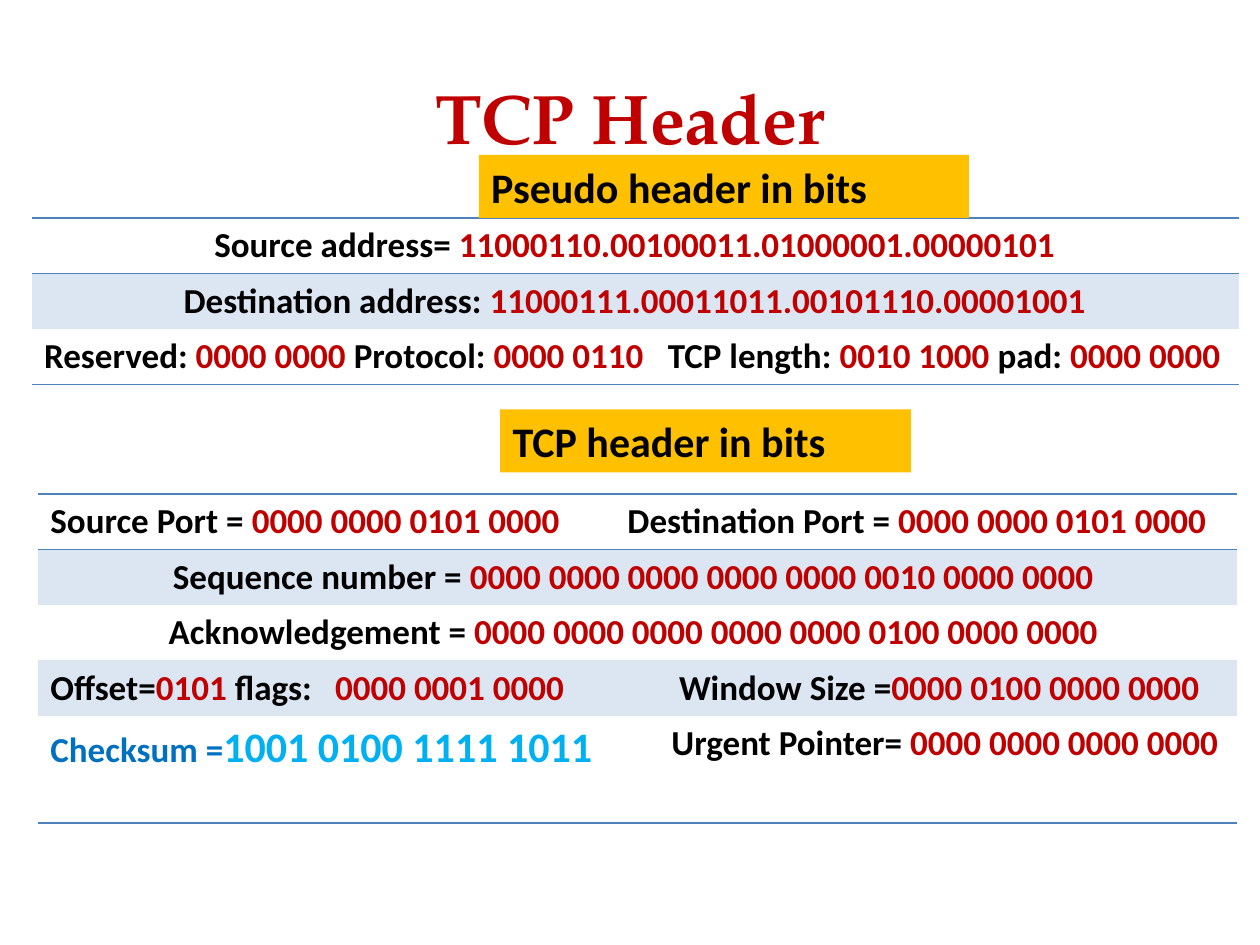
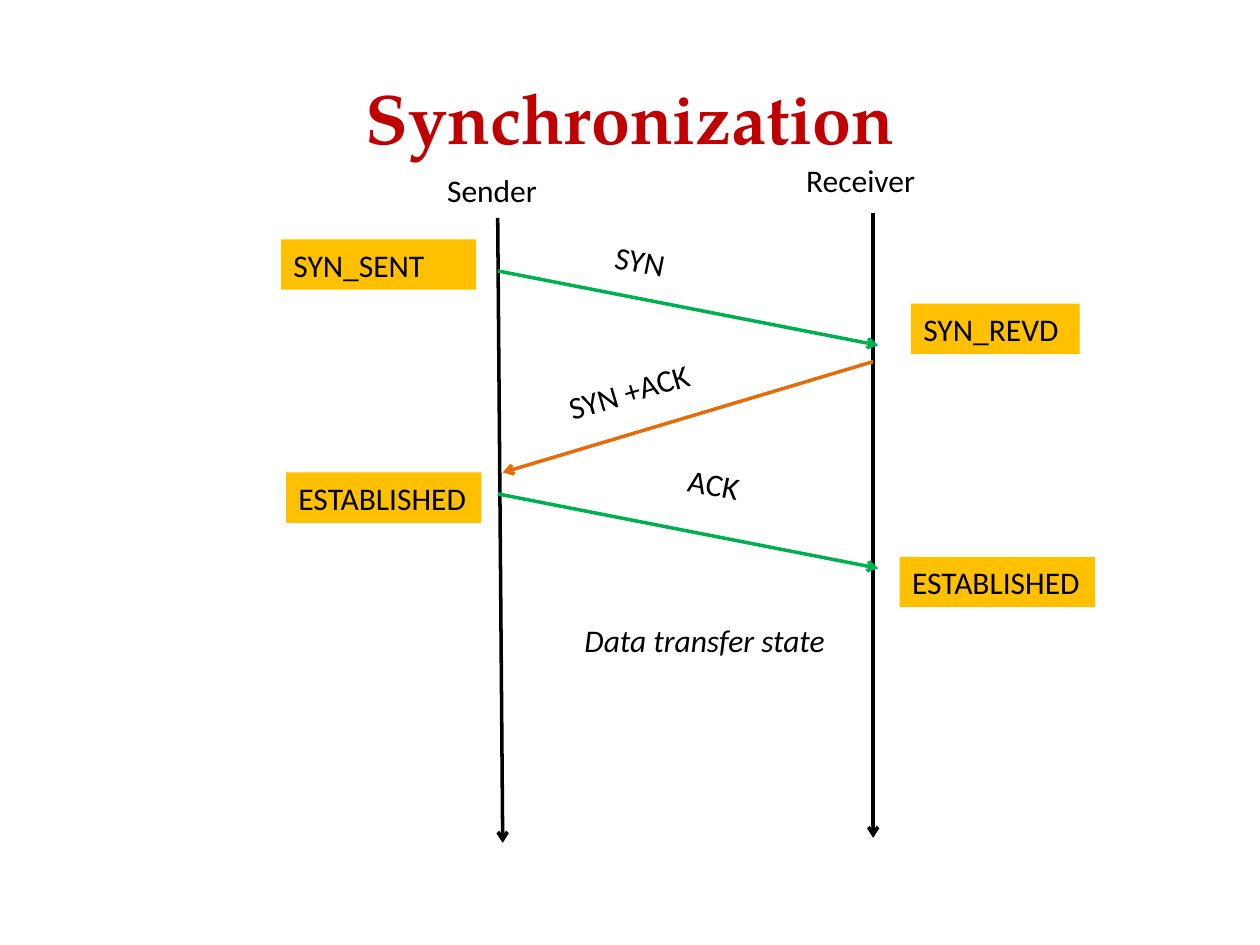
from itertools import cycle
from lxml.etree import SubElement
from pptx import Presentation
from pptx.dml.color import RGBColor
from pptx.enum.shapes import MSO_CONNECTOR as Connector, MSO_SHAPE as Shape
from pptx.enum.text import MSO_ANCHOR as Anchor, MSO_AUTO_SIZE as AutoSize, PP_ALIGN as Align
from pptx.oxml import parse_xml
from pptx.oxml.ns import nsdecls, qn
from pptx.util import Inches, Pt

COLORS = {
    "title": "C00000", "bits": "C00000", "text": "000000", "label": "FFC000",
    "border": "4F81BD", "band": "DCE6F2", "checksum": "0070C0", "result": "00B0F0",
    "request": "00B050", "reply": "E46C0A",
}
BODY_FONT = "Calibri"
TITLE_FONT = "TeX Gyre Pagella"
NO_STYLE = "{2D5ABB26-0587-4C30-8999-92F81FD0307C}"
ROW_HEIGHT = 0.44
LABEL_HEIGHT = {24: 0.5, 18: 0.4}
CENTER = {"align": Align.CENTER}
INSET = 0.21

# Each cell: first column, columns spanned, alternating names and bits, format
TCP_ROWS = [
    [(0, 1, ["Source Port = ", "0000 0000 0101 0000"], {}),
     (1, 2, ["Destination Port = ", "0000 0000 0101 0000"], {})],
    [(0, 3, ["Sequence number = ", "0000 0000 0000 0000 0000 0010 0000 0000 "], CENTER)],
    [(0, 3, ["Acknowledgement = ", "0000 0000 0000 0000 0000 0100 0000 0000 "], CENTER)],
    [(0, 2, ["Offset=", "0101 ", "flags:\t", "0000 0001 0000"], {"tab": 2.26}),
     (2, 1, ["Window Size =", "0000 0100 0000 0000"], {"inset": INSET + 0.06})],
    [(0, 2, ["Checksum =", "1001 0100 1111 1011"],
      {"colors": ("checksum", "result"), "sizes": (20, 24)}),
     (2, 1, ["Urgent Pointer= ", "0000 0000 0000 0000"], {"inset": INSET})],
]
PSEUDO_ROWS = [
    [(0, 1, ["Source address= ", "11000110.00100011.01000001.00000101"], CENTER)],
    [(0, 1, ["Destination address: ", "11000111.00011011.00101110.00001001"], CENTER)],
    [(0, 1, ["Reserved: ", "0000 0000 ", "Protocol: ", "0000 0110\t",
             "TCP length: ", "0010 1000 ", "pad: ", "0000 0000"], {"tab": 4.95})],
]
TABLES = [
    (0.3, 3.92, [4.58, 0.13, 4.7], TCP_ROWS, 0.85),
    (0.25, 1.73, [9.58], PSEUDO_ROWS, ROW_HEIGHT),
]
HEADER_LABELS = [
    ("Pseudo header in bits", 3.8, 1.23, 3.89),
    ("TCP header in bits", 3.97, 3.25, 3.26),
]
ARROWS = [
    ((3.95, 1.73), (3.99, 6.69), "text"),
    ((6.93, 1.69), (6.93, 6.65), "text"),
    ((3.95, 2.15), (6.97, 2.74), "request"),
    ((6.93, 2.87), (3.99, 3.75), "reply"),
    ((3.95, 3.92), (6.97, 4.51), "request"),
]
STATES = [
    ("SYN_SENT", 2.23, 1.9, 1.55),
    ("SYN_REVD", 7.23, 2.41, 1.34),
    ("ESTABLISHED", 2.27, 3.75, 1.55),
    ("ESTABLISHED", 7.14, 4.42, 1.55),
]
CAPTIONS = [
    ("Sender", 3.45, 1.31, 1.05, 0, False),
    ("Receiver", 6.3, 1.23, 1.26, 0, False),
    ("SYN", 4.78, 1.93, 1.2, 11.3, False),
    ("SYN +ACK", 4.4, 2.9, 1.2, 343.5, False),
    ("ACK", 5.36, 3.7, 1.2, 11.3, False),
    ("Data transfer state", 4.54, 4.88, 2.23, 0, True),
]


def write(frame, parts, colors=("text",), sizes=(18,), font=BODY_FONT,
          bold=False, italic=False, align=Align.LEFT, tab=None):
    para = frame.paragraphs[0]
    para.alignment = align
    if tab:
        stops = SubElement(para._p.get_or_add_pPr(), qn("a:tabLst"))
        SubElement(stops, qn("a:tab"), pos=str(Inches(tab)), algn="l")
    for text, color, size in zip(parts, cycle(colors), cycle(sizes)):
        span = para.add_run()
        span.text = text
        span.font.name = font
        span.font.size = Pt(size)
        span.font.bold = bold
        span.font.italic = italic
        span.font.color.rgb = RGBColor.from_string(COLORS[color])


def add_titled_slide(deck, text):
    slide = deck.slides.add_slide(deck.slide_layouts[5])
    title = slide.shapes.title
    title.left, title.top, title.width, title.height = map(Inches, (0.5, 0.3, 9, 1.25))
    title.text_frame.vertical_anchor = Anchor.MIDDLE
    write(title.text_frame, [text], colors=("title",), sizes=(40,), font=TITLE_FONT,
          bold=True, align=Align.CENTER)
    return slide


def fit_text(box, text, **style):
    frame = box.text_frame
    frame.word_wrap = True
    frame.auto_size = AutoSize.SHAPE_TO_FIT_TEXT
    frame.vertical_anchor = Anchor.TOP
    write(frame, [text], **style)


def add_label(slide, text, left, top, width, size=18, bold=False):
    box = slide.shapes.add_shape(Shape.RECTANGLE, *map(
        Inches, (left, top, width, LABEL_HEIGHT[size])))
    box.shadow.inherit = False
    box.fill.solid()
    box.fill.fore_color.rgb = RGBColor.from_string(COLORS["label"])
    box.line.fill.background()
    fit_text(box, text, sizes=(size,), bold=bold)


def add_caption(slide, text, left, top, width, rotation, italic):
    box = slide.shapes.add_textbox(*map(Inches, (left, top, width, LABEL_HEIGHT[18])))
    box.rotation = rotation
    fit_text(box, text, italic=italic)


def add_arrow(slide, start, end, color):
    arrow = slide.shapes.add_connector(Connector.STRAIGHT, *map(Inches, start + end))
    arrow.line.color.rgb = RGBColor.from_string(COLORS[color])
    arrow.line.width = Pt(2)
    properties = arrow._element.spPr
    SubElement(properties.find(qn("a:ln")), qn("a:tailEnd"), type="arrow")
    SubElement(properties, qn("a:effectLst"))


def dress_cell(cell, banded, edges):
    if banded:
        cell.fill.solid()
        cell.fill.fore_color.rgb = RGBColor.from_string(COLORS["band"])
    else:
        cell.fill.background()
    for position, edge in enumerate(edges):
        cell._tc.get_or_add_tcPr().insert(position, parse_xml(
            f'<a:{edge} {nsdecls("a")} w="{Pt(1)}"><a:solidFill>'
            f'<a:srgbClr val="{COLORS["border"]}"/></a:solidFill></a:{edge}>'))


def add_bit_table(slide, left, top, widths, rows, last_height):
    heights = [ROW_HEIGHT] * (len(rows) - 1) + [last_height]
    holder = slide.shapes.add_table(len(rows), len(widths), *map(
        Inches, (left, top, sum(widths), sum(heights))))
    table = holder.table
    table.first_row = table.horz_banding = False
    holder._element.find(".//" + qn("a:tableStyleId")).text = NO_STYLE
    for column, width in zip(table.columns, widths):
        column.width = Inches(width)
    for index, (fields, height) in enumerate(zip(rows, heights)):
        table.rows[index].height = Inches(height)
        edges = ["lnT"] if index == 0 else []
        if index in (0, len(rows) - 1):
            edges.append("lnB")
        for column in range(len(widths)):
            dress_cell(table.cell(index, column), index % 2 == 1, edges)
        for first, count, parts, style in fields:
            cell = table.cell(index, first)
            if count > 1:
                cell.merge(table.cell(index, first + count - 1))
            style = {"colors": ("text", "bits"), "sizes": (20,), **style}
            cell.margin_left = Inches(style.pop("inset", 0.1))
            write(cell.text_frame, parts, bold=True, **style)


def main():
    deck = Presentation()
    deck.slide_width, deck.slide_height = Inches(10), Inches(7.5)

    header = add_titled_slide(deck, "TCP Header")
    for table in TABLES:
        add_bit_table(header, *table)
    for label in HEADER_LABELS:
        add_label(header, *label, size=24, bold=True)

    handshake = add_titled_slide(deck, "Synchronization")
    for arrow in ARROWS:
        add_arrow(handshake, *arrow)
    for state in STATES:
        add_label(handshake, *state)
    for caption in CAPTIONS:
        add_caption(handshake, *caption)

    deck.save("out.pptx")


if __name__ == "__main__":
    main()
